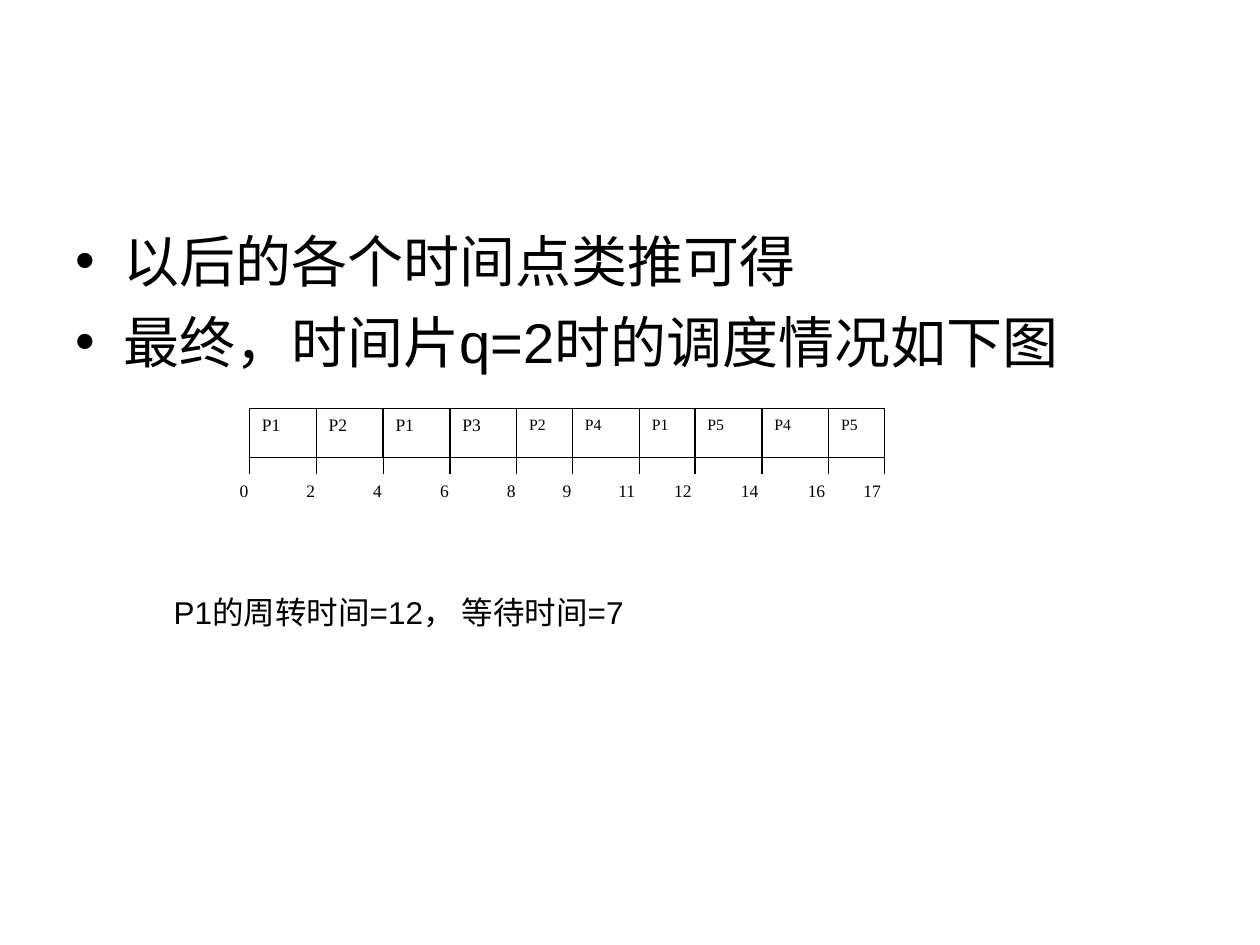
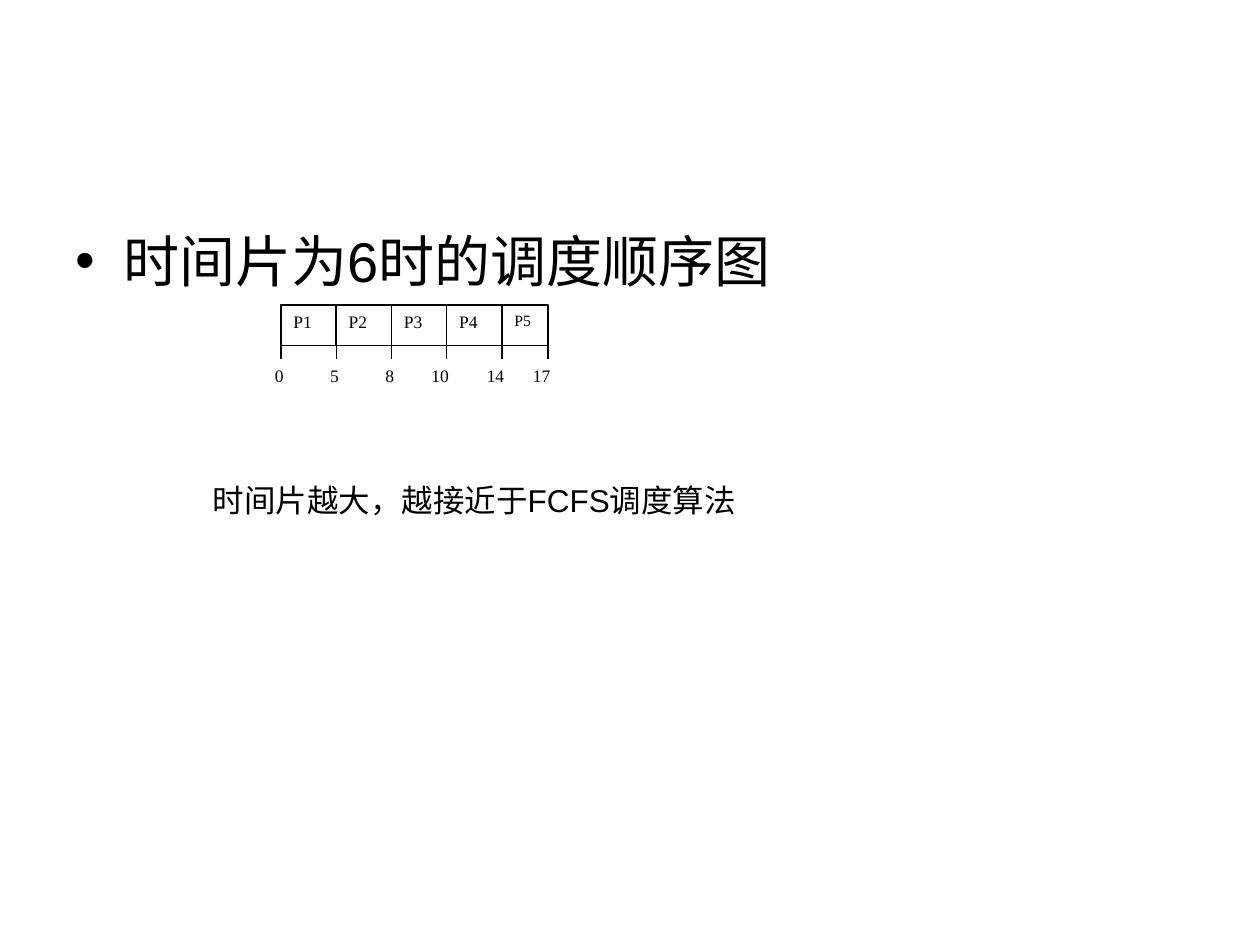
import itertools

import lxml.etree
import pptx
import pptx.dml.color
import pptx.enum.shapes
import pptx.enum.text
import pptx.oxml.ns
import pptx.util

BLACK = pptx.dml.color.RGBColor(0, 0, 0)
WHITE = pptx.dml.color.RGBColor(255, 255, 255)

CELL = pptx.util.Inches(0.1)
COLS, ROWS = 100, 75

LONG, SHORT = 6, 5
BAR_ROWS, TICK_ROWS, MARK_ROWS = 4.4, 1.5, 3.75

ALIGN = pptx.enum.text.PP_ALIGN
FIT = pptx.enum.text.MSO_AUTO_SIZE
BODY = {"name": "Arial", "size": pptx.util.Pt(32)}
NOTE = {"name": "Arial", "size": pptx.util.Pt(18)}
MARK = {"name": "Times New Roman", "size": pptx.util.Pt(10)}
SMALL = {**MARK, "size": pptx.util.Pt(9)}
BOX = {"vertical_anchor": pptx.enum.text.MSO_ANCHOR.TOP}


def apply(target, values):
    for name, value in values.items():
        setattr(target, name, value)


def cells(*counts):
    return [round(count * CELL) for count in counts]


def write(par, text, style):
    run = par.add_run()
    run.text = text
    apply(run.font, style)
    run.font.color.rgb = BLACK


def add_node(parent, tag, **values):
    return lxml.etree.SubElement(parent, pptx.oxml.ns.qn(tag), values)


def add_dot(par):
    props = par._p.get_or_add_pPr()
    indent = pptx.util.Inches(0.38)
    props.set("marL", str(indent))
    props.set("indent", str(-indent))
    add_node(add_node(props, "a:buClr"), "a:srgbClr", val=str(BLACK))
    add_node(props, "a:buFont", typeface="Arial")
    add_node(props, "a:buChar", char="•")


def add_points(slide, lines):
    frame = slide.shapes.add_textbox(*cells(5, 17.5, 90, 49.5)).text_frame
    apply(frame, {**BOX, "word_wrap": True})
    for index, line in enumerate(lines):
        par = frame.add_paragraph() if index else frame.paragraphs[0]
        add_dot(par)
        if index:
            par.space_before = pptx.util.Pt(8)
        write(par, line, BODY)


def add_note(slide, text, left, top, width):
    frame = slide.shapes.add_textbox(*cells(left, top, width, 4)).text_frame
    apply(frame, {**BOX, "word_wrap": False, "auto_size": FIT.SHAPE_TO_FIT_TEXT})
    write(frame.paragraphs[0], text, NOTE)


def add_box(group, place, text, style, edge):
    kind = pptx.enum.shapes.MSO_SHAPE.RECTANGLE
    box = group.shapes.add_shape(kind, *cells(*place))
    box.shadow.inherit = False
    box.fill.solid()
    box.fill.fore_color.rgb = WHITE
    if edge:
        box.line.color.rgb = BLACK
        box.line.width = pptx.util.Pt(0.75)
    else:
        box.line.fill.background()
    apply(box.text_frame, {**BOX, "word_wrap": True})
    par = box.text_frame.paragraphs[0]
    par.alignment = ALIGN.JUSTIFY
    write(par, text, style)
    return box


def add_tick(group, left, top, unit, time):
    foot = top + TICK_ROWS * unit
    lone = time < 10
    back, width = (2, 4) if lone else (3, 5)
    place = (left - back * unit, foot, width * unit, MARK_ROWS * unit)
    label = add_box(group, place, str(time), MARK, False)
    kind = pptx.enum.shapes.MSO_CONNECTOR.STRAIGHT
    tick = group.shapes.add_connector(kind, *cells(left, top, left, foot))
    tick.line.color.rgb = BLACK
    tick.line.width = pptx.util.Pt(0.75)
    add_node(tick._element.spPr, "a:effectLst")
    if lone:
        tick.end_connect(label, 0)


def add_chart(slide, left, top, width, jobs, times, spans):
    group = slide.shapes.add_group_shape()
    unit = width / sum(spans)
    edges = [left + unit * step for step in itertools.accumulate(spans, initial=0)]
    for index, (job, edge, span) in enumerate(zip(jobs, edges, spans)):
        place = (edge, top, span * unit, BAR_ROWS * unit)
        add_box(group, place, job, MARK if index < 4 else SMALL, True)
    for edge, time in zip(edges, times):
        add_tick(group, edge, top + BAR_ROWS * unit, unit, time)


def main():
    deck = pptx.Presentation()
    deck.slide_width, deck.slide_height = cells(COLS, ROWS)
    blank = deck.slide_layouts[6]

    slide = deck.slides.add_slide(blank)
    add_points(slide, ["以后的各个时间点类推可得", "最终，时间片q=2时的调度情况如下图"])
    times = [0, 2, 4, 6, 8, 9, 11, 12, 14, 16, 17]
    spans = [LONG if end - start > 1 else SHORT
             for start, end in zip(times, times[1:])]
    jobs = ["P1", "P2", "P1", "P3", "P2", "P4", "P1", "P5", "P4", "P5"]
    add_chart(slide, 19.8, 32.4, 50.4, jobs, times, spans)
    add_note(slide, "P1的周转时间=12， 等待时间=7", 12.8, 46.6, 40.1)

    slide = deck.slides.add_slide(blank)
    add_points(slide, ["时间片为6时的调度顺序图"])
    jobs = ["P1", "P2", "P3", "P4", "P5"]
    spans = [LONG] * 4 + [SHORT]
    add_chart(slide, 22.3, 24.2, 21.2, jobs, [0, 5, 8, 10, 14, 17], spans)
    add_note(slide, "时间片越大，越接近于FCFS调度算法", 15.9, 37.7, 44.7)

    deck.save("out.pptx")


if __name__ == "__main__":
    main()
